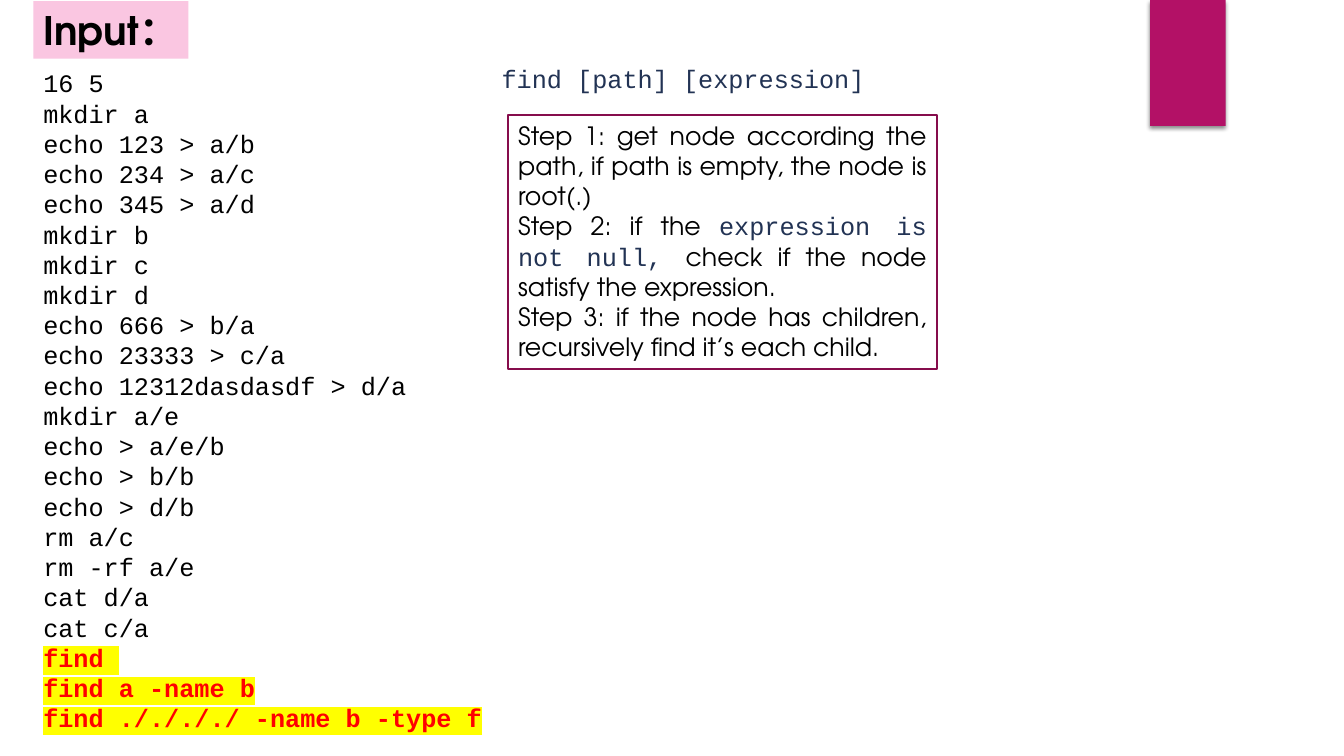
from dataclasses import dataclass

from lxml.etree import SubElement
from pptx import Presentation
from pptx.dml.color import RGBColor
from pptx.enum.shapes import MSO_SHAPE
from pptx.enum.text import MSO_ANCHOR, MSO_AUTO_SIZE, PP_ALIGN
from pptx.oxml import parse_xml
from pptx.oxml.ns import nsdecls, qn
from pptx.util import Pt


@dataclass(frozen=True)
class Theme:
    ink: str = "000000"
    navy: str = "223354"
    red: str = "FF0000"
    mark: str = "FFFF00"
    paper: str = "FFFFFF"
    pink: str = "FAC6E1"
    berry: str = "B31166"
    plum: str = "860D4C"
    sans: str = "TeX Gyre Adventor"
    mono: str = "Courier New"
    head: int = 28
    body: int = 18


LOOK = Theme()

SETUP = """16 5
mkdir a
echo 123 > a/b
echo 234 > a/c
echo 345 > a/d
mkdir b
mkdir c
mkdir d
echo 666 > b/a
echo 23333 > c/a
echo 12312dasdasdf > d/a
mkdir a/e
echo > a/e/b
echo > b/b
echo > d/b
rm a/c
rm -rf a/e
cat d/a
cat c/a""".split("\n")
FINDS = ["find ", "find a -name b", "find ././././ -name b -type f"]


def add_rect(slide, box, fill=None, line=None):
    rect = slide.shapes.add_shape(MSO_SHAPE.RECTANGLE, *map(Pt, box))
    rect.shadow.inherit = False
    if fill:
        rect.fill.solid()
        rect.fill.fore_color.rgb = RGBColor.from_string(fill)
    else:
        rect.fill.background()
    if line:
        rect.line.color.rgb = RGBColor.from_string(line)
        rect.line.width = Pt(1.5)
    else:
        rect.line.fill.background()
    return rect


def add_run(para, text, font=LOOK.sans, color=LOOK.ink, size=LOOK.body,
            bold=False, mark=None):
    run = para.add_run()
    run.text = text
    run.font.name = font
    run.font.size = Pt(size)
    run.font.bold = bold
    run.font.color.rgb = RGBColor.from_string(color)
    if mark:
        tint = parse_xml(f"<a:highlight {nsdecls('a')}/>")
        SubElement(tint, qn("a:srgbClr"), val=mark)
        run.font._element.find(qn("a:solidFill")).addnext(tint)


def set_text(shape, paras, align=PP_ALIGN.LEFT, wrap=True):
    """Fill the shape; each paragraph is a list of (text, style) runs."""
    frame = shape.text_frame
    frame.word_wrap = wrap
    frame.auto_size = MSO_AUTO_SIZE.SHAPE_TO_FIT_TEXT
    frame.vertical_anchor = MSO_ANCHOR.TOP
    for i, runs in enumerate(paras):
        para = frame.add_paragraph() if i else frame.paragraphs[0]
        para.alignment = align
        for text, style in runs:
            add_run(para, text, **style)


def add_tab(slide, box):
    tab = add_rect(slide, box, LOOK.berry)
    glow = tab._element.spPr.find(qn("a:effectLst"))
    glow.append(parse_xml(
        f'<a:outerShdw {nsdecls("a")} blurRad="{Pt(3)}" dist="{Pt(2)}" '
        'dir="5400000" rotWithShape="0"><a:srgbClr val="000000">'
        '<a:alpha val="45000"/></a:srgbClr></a:outerShdw>'))


def add_title(slide, box):
    style = dict(size=LOOK.head, bold=True)
    set_text(add_rect(slide, box, LOOK.pink), [[("Input：", style)]], wrap=False)


def add_input(slide, box):
    plain = dict(font=LOOK.mono)
    hot = dict(font=LOOK.mono, color=LOOK.red, bold=True, mark=LOOK.mark)
    lines = [[(text, plain)] for text in SETUP]
    lines += [[(text, hot)] for text in FINDS]
    set_text(add_rect(slide, box, LOOK.paper), lines)


def add_steps(slide, box):
    code = dict(font=LOOK.mono, color=LOOK.navy)
    steps = [
        [("Step 1: get node according the path, if path is empty, "
          "the node is root(.)", {})],
        [("Step 2: if the ", {}),
         ("expression is not null, ", code),
         ("check if the node satisfy the expression. ", {})],
        [("Step 3: if the node has children, recursively find "
          "it’s each child.", {})],
    ]
    set_text(add_rect(slide, box, line=LOOK.plum), steps, PP_ALIGN.JUSTIFY)


def add_usage(slide, box):
    style = dict(font=LOOK.mono, color=LOOK.navy)
    note = slide.shapes.add_textbox(*map(Pt, box))
    set_text(note, [[("find [path] [expression]", style)]])


def main():
    deck = Presentation()
    deck.slide_width, deck.slide_height = Pt(960), Pt(540)
    slide = deck.slides.add_slide(deck.slide_layouts[6])
    add_tab(slide, (821.5, 0, 54, 90))
    add_title(slide, (23.8, 0.8, 110.8, 41.2))
    add_input(slide, (23.8, 44.8, 389.5, 486.7))
    add_steps(slide, (363, 82.2, 306, 181.4))
    add_usage(slide, (351.2, 42, 283, 29))
    deck.save("out.pptx")


if __name__ == "__main__":
    main()
